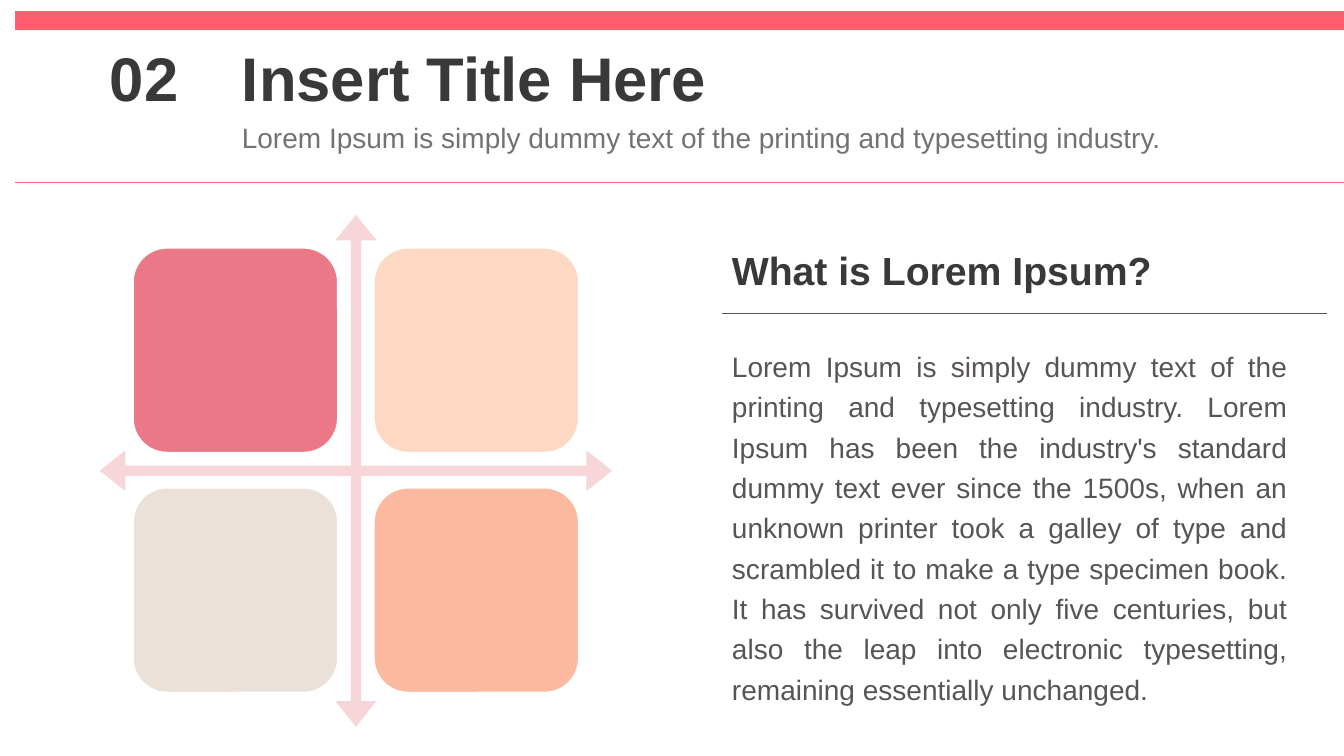
from pptx import Presentation
from pptx.dml.color import RGBColor
from pptx.enum.shapes import MSO_CONNECTOR as Conn, MSO_SHAPE as Shape
from pptx.enum.text import MSO_ANCHOR as Anchor, MSO_AUTO_SIZE as Fit, PP_ALIGN as Align
from pptx.oxml.ns import qn
from pptx.util import Emu, Pt

BODY = (
    "Lorem Ipsum is simply dummy text of the printing and typesetting industry. "
    "Lorem Ipsum has been the industry's standard dummy text ever since the 1500s, "
    "when an unknown printer took a galley of type and scrambled it to make a type "
    "specimen book. It has survived not only five centuries, but also the leap into "
    "electronic typesetting, remaining essentially unchanged."
)
TILES = [["EB7887", "FDD9C3"], ["EBE1D8", "FBB99F"]]


def px(n):
    return Emu(n * 9144)


def rgb(value):
    return RGBColor.from_string(value)


class Deck:
    """Draws styled elements on the current slide."""

    font = "Arial"
    accent, dark, text_grey, soft_grey = "FD5F6E", "3A3838", "585454", "767171"

    def __init__(self, width, height):
        self.prs = Presentation()
        self.prs.slide_width, self.prs.slide_height = px(width), px(height)
        self.s = self.prs.slides.add_slide(self.prs.slide_layouts[1])
        self.title, self.body = self.s.placeholders

    def shape(self, kind, box, fill, line=None, adjust=()):
        sp = self.s.shapes.add_shape(kind, *map(px, box))
        sp.shadow.inherit = False
        sp.fill.solid()
        sp.fill.fore_color.rgb = rgb(fill)
        if line:
            sp.line.color.rgb = rgb(line)
            sp.line.width = Pt(1)
        else:
            sp.line.fill.background()
        for i, value in enumerate(adjust):
            sp.adjustments[i] = value

    def rule(self, left, right, y, color):
        cx = self.s.shapes.add_connector(Conn.STRAIGHT, px(left), px(y), px(right), px(y))
        cx.line.color.rgb = rgb(color)
        cx.line.width = Pt(0.5)
        cx._element.spPr.append(cx._element.makeelement(qn("a:effectLst"), {}))

    def text(self, box, words, size, color, bold=False, justified=False, sp=None):
        left, top, width, height = map(px, box)
        sp = sp or self.s.shapes.add_textbox(left, top, width, height)
        sp.left, sp.top, sp.width, sp.height = left, top, width, height
        tf = sp.text_frame
        tf.word_wrap = justified
        tf.auto_size = Fit.SHAPE_TO_FIT_TEXT
        tf.vertical_anchor = Anchor.TOP
        p = tf.paragraphs[0]
        p.alignment = Align.JUSTIFY if justified else Align.LEFT
        p.line_spacing = 1.2 if justified else 1.0
        p.space_before = Pt(0)
        pPr = p._p.get_or_add_pPr()
        pPr.set("marL", "0")
        pPr.set("indent", "0")
        pPr.append(pPr.makeelement(qn("a:buNone"), {}))
        r = p.add_run()
        r.text = words
        r.font.name, r.font.size, r.font.bold = self.font, Pt(size), bold
        r.font.color.rgb = rgb(color)


def main():
    d = Deck(1333, 750)
    d.shape(Shape.RECTANGLE, (15, 11, 1318, 19), d.accent)
    d.rule(15, 1333, 181, d.accent)

    d.text((99, 35, 89, 84), "02", 44, d.dark, bold=True)
    d.text((230, 35, 486, 84), "Insert Title Here", 44, d.dark, bold=True, sp=d.title)
    d.text((230, 115, 946, 44),
           "Lorem Ipsum is simply dummy text of the printing and typesetting industry.",
           20, d.soft_grey)

    d.shape(Shape.QUAD_ARROW, (99, 213, 508, 508), "F7D6D9", adjust=(0.02, 0.04, 0.05))
    for row, fills in enumerate(TILES):
        for col, fill in enumerate(fills):
            box = (132 + 239 * col, 246 + 238 * row, 203, 203)
            d.shape(Shape.ROUNDED_RECTANGLE, box, fill, line="FFFFFF")

    d.text((716, 230, 571, 61), "What is Lorem Ipsum?", 28, d.dark, bold=True, justified=True)
    d.rule(716, 1316, 311, d.text_grey)
    d.text((716, 335, 571, 370), BODY, 20, d.text_grey, justified=True, sp=d.body)
    d.prs.save("out.pptx")


if __name__ == "__main__":
    main()
